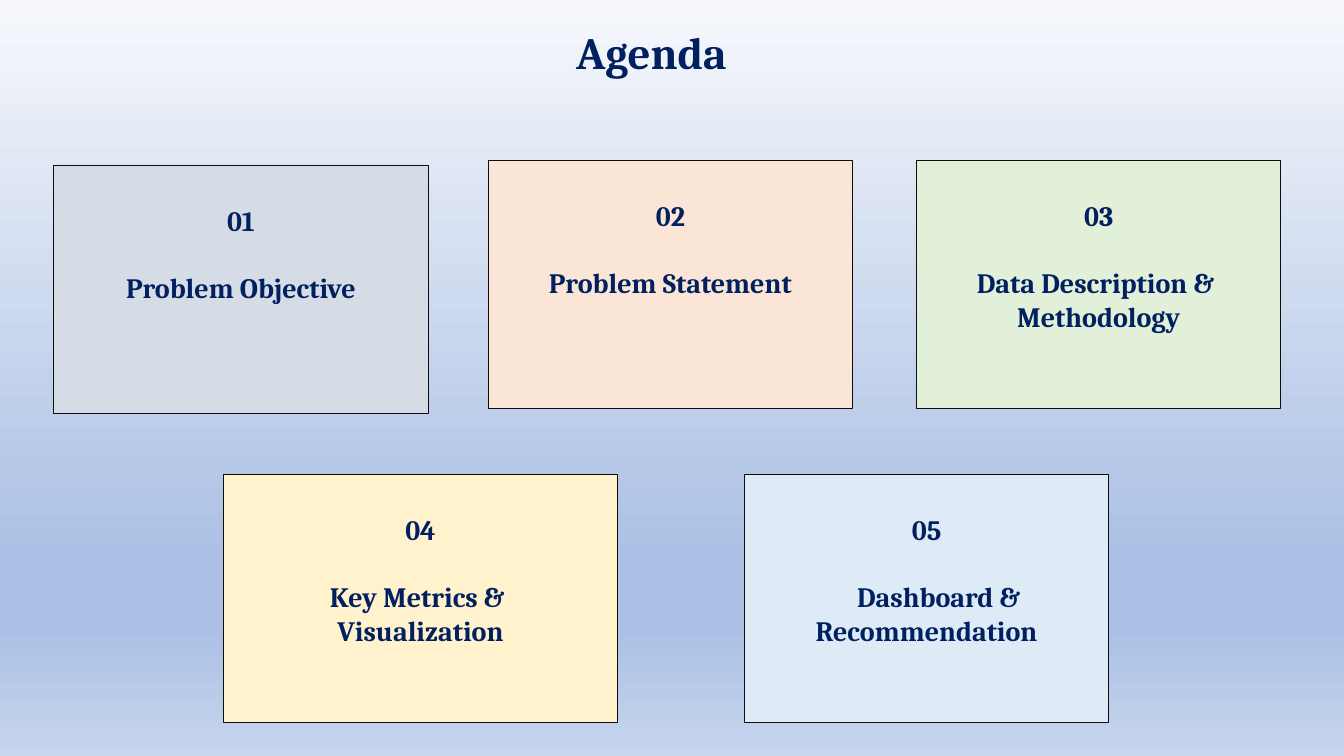
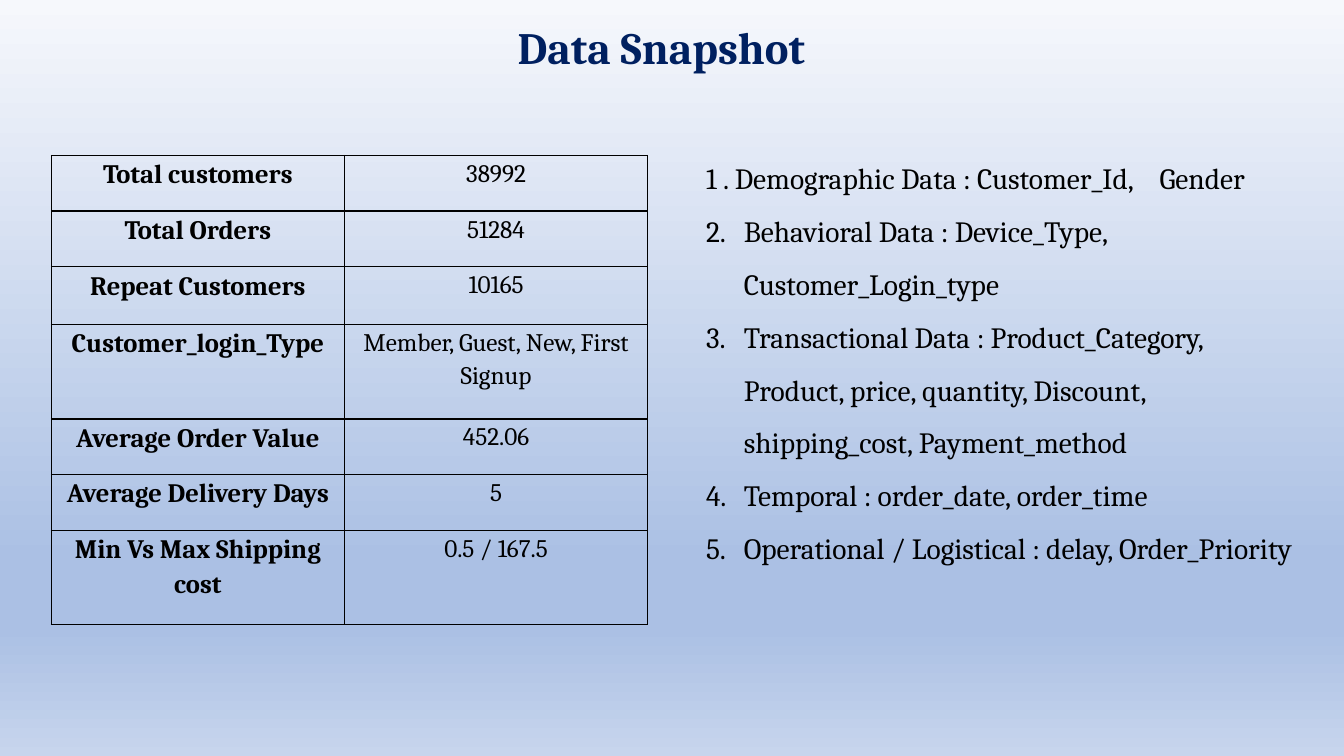
from dataclasses import dataclass
from typing import Any

from lxml import etree
from pptx import Presentation
from pptx import util as u
from pptx.dml.color import RGBColor
from pptx.enum import shapes, text
from pptx.oxml import ns

EMU_PER_PX = 9525
FONT = "Cambria"
COLORS = {
    "navy": "002060",
    "black": "000000",
    "outline": "0D0D0D",
    "grey": "D6DCE5",
    "peach": "FBE5D6",
    "green": "E2F0D9",
    "yellow": "FFF2CC",
    "blue": "DEEBF7",
}
BACKDROP = [(0, "F6F8FC"), (74, "ABC0E4"), (83, "ABC0E4"), (100, "C7D5ED")]


@dataclass(frozen=True)
class Box:
    left: int
    top: int
    width: int
    height: int

    def emu(self) -> tuple[u.Emu, ...]:
        return tuple(px(n) for n in (self.left, self.top, self.width, self.height))


@dataclass(frozen=True)
class Card:
    number: str
    lines: tuple[str, ...]
    color: str
    box: Box
    indent: int = 0


CARD_H = 236
CARD_W = 347
UPPER, LOWER = 153, 452
CARDS = [
    Card("01", ("Problem Objective",), "grey", Box(51, 158, 357, CARD_H)),
    Card("02", ("Problem Statement",), "peach", Box(465, UPPER, CARD_W, CARD_H)),
    Card("03", ("Data Description & ", "Methodology"), "green",
         Box(873, UPPER, CARD_W, CARD_H)),
    Card("04", ("Key Metrics & ", "Visualization"), "yellow",
         Box(213, LOWER, 375, CARD_H)),
    Card("05", ("Dashboard & ", "Recommendation"), "blue",
         Box(709, LOWER, CARD_W, CARD_H), indent=29),
]

COL_WIDTHS = (279, 289)
ROW_H = 53
TALL_ROW_H = 90
SNAPSHOT = [
    ("Total customers", "38992", ROW_H),
    ("Total Orders", "51284", ROW_H),
    ("Repeat Customers", "10165", 55),
    ("Customer_login_Type", "Member, Guest, New, First Signup", TALL_ROW_H),
    ("Average Order Value", "452.06", ROW_H),
    ("Average Delivery Days", "5", ROW_H),
    ("Min Vs Max Shipping cost", "0.5 / 167.5", TALL_ROW_H),
]

FIRST_FIELD = "1 . Demographic Data : Customer_Id, \tGender"
NUMBERED_FIELDS = [
    "Behavioral Data : Device_Type, Customer_Login_type",
    "Transactional Data : Product_Category, Product, price, quantity, "
    "Discount, shipping_cost, Payment_method",
    "Temporal : order_date, order_time",
    "Operational / Logistical : delay, Order_Priority",
]


def px(n: int) -> u.Emu:
    return u.Emu(n * EMU_PER_PX)


def rgb(name: str) -> RGBColor:
    return RGBColor.from_string(COLORS[name])


def add_xml(parent: Any, tag: str, **attrs: str) -> Any:
    return etree.SubElement(parent, ns.qn(tag), attrs)


def add_run(p: Any, words: str, size: int, color: str, bold: bool = False) -> None:
    r = p.add_run()
    r.text = words
    r.font.name = FONT
    r.font.size = u.Pt(size)
    r.font.bold = bold
    r.font.color.rgb = rgb(color)


def next_paragraph(tf: Any, align: Any = text.PP_ALIGN.CENTER) -> Any:
    """Return the empty first paragraph, or a new one after the last."""
    p = tf.paragraphs[0] if not tf.paragraphs[0].runs else tf.add_paragraph()
    p.alignment = align
    return p


def set_backdrop(prs: Any) -> None:
    """Give every slide the shared vertical gradient through the master."""
    master = prs.slide_master
    fill = master.background.fill
    fill.gradient()
    fill.gradient_angle = 270
    stops = master.element.find(".//" + ns.qn("a:gsLst"))
    for stop in list(stops):
        stops.remove(stop)
    for percent, color in BACKDROP:
        stop = add_xml(stops, "a:gs", pos=str(percent * 1000))
        add_xml(stop, "a:srgbClr", val=color)


def add_text_box(slide: Any, box: Box) -> Any:
    tf = slide.shapes.add_textbox(*box.emu()).text_frame
    tf.word_wrap = True
    return tf


def add_titled_slide(prs: Any, title: str, box: Box) -> Any:
    slide = prs.slides.add_slide(prs.slide_layouts[6])
    p = next_paragraph(add_text_box(slide, box))
    add_run(p, title, 32, "navy", bold=True)
    return slide


def add_card(slide: Any, card: Card) -> None:
    sp = slide.shapes.add_shape(shapes.MSO_SHAPE.RECTANGLE, *card.box.emu())
    sp.shadow.inherit = False
    sp.fill.solid()
    sp.fill.fore_color.rgb = rgb(card.color)
    sp.line.color.rgb = rgb("outline")
    sp.line.width = u.Pt(0.75)
    tf = sp.text_frame
    tf.word_wrap = True
    tf.vertical_anchor = text.MSO_ANCHOR.TOP
    tf.margin_top = px(36)
    add_run(next_paragraph(tf), card.number, 20, "navy", bold=True)
    for i, line in enumerate(card.lines):
        p = next_paragraph(tf)
        if i == 0:
            p.space_before = u.Pt(24)
            if card.indent:
                p._p.get_or_add_pPr().set("marL", str(px(card.indent)))
        add_run(p, line, 20, "navy", bold=True)


def add_borders(cell: Any) -> None:
    tc_pr = cell._tc.get_or_add_tcPr()
    for i, side in enumerate(("a:lnL", "a:lnR", "a:lnT", "a:lnB")):
        ln = etree.Element(ns.qn(side), w=str(u.Pt(1)))
        add_xml(add_xml(ln, "a:solidFill"), "a:srgbClr", val=COLORS["black"])
        tc_pr.insert(i, ln)


def fill_cell(cell: Any, words: str, size: int, bold: bool) -> None:
    cell.fill.background()
    cell.margin_left = cell.margin_right = px(7)
    cell.margin_top = cell.margin_bottom = 0
    p = next_paragraph(cell.text_frame)
    p.line_spacing = 1.15
    p.space_after = u.Pt(8)
    add_run(p, words, size, "black", bold)
    add_borders(cell)


def add_snapshot_table(slide: Any, left: int, top: int) -> None:
    box = Box(left, top, sum(COL_WIDTHS), sum(row[2] for row in SNAPSHOT))
    frame = slide.shapes.add_table(len(SNAPSHOT), len(COL_WIDTHS), *box.emu())
    table = frame.table
    table.first_row = table.horz_banding = False
    for column, width in zip(table.columns, COL_WIDTHS):
        column.width = px(width)
    for i, (label, value, height) in enumerate(SNAPSHOT):
        table.rows[i].height = px(height)
        fill_cell(table.cell(i, 0), label, 19, bold=True)
        fill_cell(table.cell(i, 1), value, 18, bold=False)


def add_field_list(slide: Any, box: Box) -> None:
    tf = add_text_box(slide, box)
    for i, words in enumerate([FIRST_FIELD, *NUMBERED_FIELDS]):
        p = next_paragraph(tf, text.PP_ALIGN.LEFT)
        p.line_spacing = 1.5
        if i > 0:
            p_pr = p._p.get_or_add_pPr()
            p_pr.set("marL", str(px(36)))
            p_pr.set("indent", str(-px(36)))
            add_xml(p_pr, "a:buFont", typeface="+mj-lt")
            add_xml(p_pr, "a:buAutoNum", type="arabicPeriod", startAt="2")
        add_run(p, words, 21, "black")


def main() -> None:
    prs = Presentation()
    prs.slide_width, prs.slide_height = px(1280), px(720)
    set_backdrop(prs)

    agenda = add_titled_slide(prs, "Agenda", Box(51, 19, 1139, 61))
    for card in CARDS:
        add_card(agenda, card)

    snapshot = add_titled_slide(prs, "Data Snapshot", Box(311, 14, 638, 61))
    add_field_list(snapshot, Box(663, 131, 590, 462))
    add_snapshot_table(snapshot, 49, 148)

    prs.save("out.pptx")


if __name__ == "__main__":
    main()
